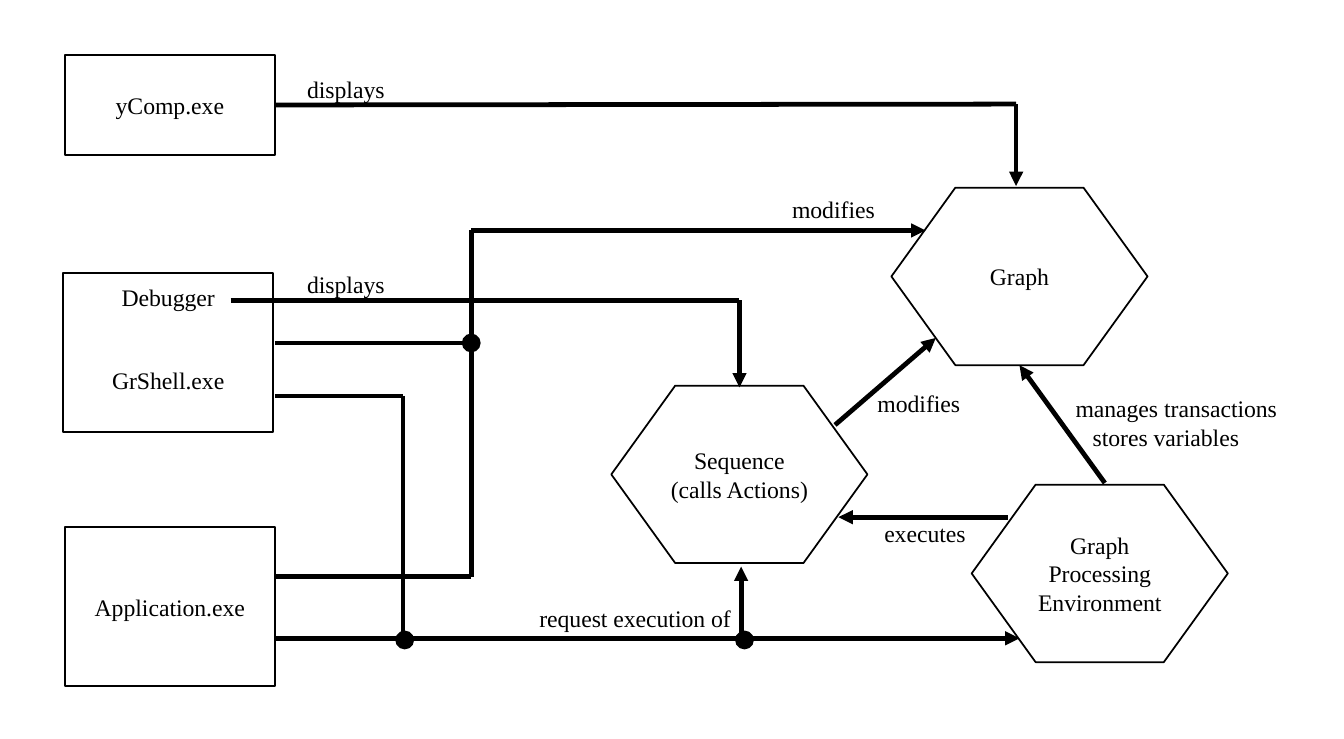
"""Build a slide showing how shell, application and viewer act on graph and sequence."""
from dataclasses import dataclass

from lxml import etree
from pptx import Presentation
from pptx import util as u
from pptx.dml.color import RGBColor
from pptx.enum import shapes, text
from pptx.oxml import ns


@dataclass(frozen=True)
class Theme:
    ink: RGBColor = RGBColor(0, 0, 0)
    paper: RGBColor = RGBColor(255, 255, 255)
    font: str = "Times New Roman"
    size: u.Pt = u.Pt(10)
    rule: u.Pt = u.Pt(0)


theme = Theme()
deck = Presentation()
deck.slide_width, deck.slide_height = u.Inches(7.87), u.Inches(4.33)
slide = deck.slides.add_slide(deck.slide_layouts[6])


def write(item, words, align):
    """Fill a shape with words and format every run."""
    frame = item.text_frame
    frame.word_wrap = True
    frame.text = words
    for para in frame.paragraphs:
        para.alignment = align
        for run in para.runs:
            run.font.name = theme.font
            run.font.size = theme.size
            run.font.color.rgb = theme.ink


def draw(kind, place, fill):
    """Add a preset shape with a thin outline and no shadow."""
    item = slide.shapes.add_shape(kind, *map(u.Inches, place))
    item.shadow.inherit = False
    item.fill.solid()
    item.fill.fore_color.rgb = fill
    item.line.color.rgb = theme.ink
    item.line.width = theme.rule
    return item


boxes = {}
for words, place in [
    ("yComp.exe", (0.38, 0.32, 1.23, 0.59)),
    ("Debugger\nGrShell.exe", (0.37, 1.6, 1.23, 0.93)),
    ("Application.exe", (0.38, 3.09, 1.23, 0.93)),
]:
    box = draw(shapes.MSO_SHAPE.RECTANGLE, place, theme.paper)
    write(box, words, text.PP_ALIGN.CENTER)
    box.text_frame.vertical_anchor = text.MSO_ANCHOR.MIDDLE
    boxes[words] = box

shell = boxes["Debugger\nGrShell.exe"].text_frame
shell.vertical_anchor = text.MSO_ANCHOR.TOP
shell.margin_top = u.Inches(0.06)
shell.paragraphs[1].space_before = u.Pt(23)

for words, left, top in [
    ("Graph", 5.22, 1.1),
    ("Graph Processing\nEnvironment", 5.69, 2.84),
    ("Sequence\n(calls Actions)", 3.58, 2.26),
]:
    node = draw(shapes.MSO_SHAPE.HEXAGON, (left, top, 1.5, 1.04), theme.paper)
    node.adjustments[0] = 0.36
    write(node, words, text.PP_ALIGN.CENTER)
    node.text_frame.vertical_anchor = text.MSO_ANCHOR.MIDDLE

lines = []
for ends, arrow in [
    ((1.61, 0.61, 5.95, 0.61), False),
    ((5.95, 0.61, 5.95, 1.09), True),
    ((1.35, 1.76, 4.33, 1.76), False),
    ((4.33, 1.76, 4.33, 2.27), True),
    ((1.61, 2.01, 2.76, 2.01), False),
    ((1.61, 3.38, 2.76, 3.38), False),
    ((2.76, 1.35, 2.76, 3.38), False),
    ((2.76, 1.35, 5.42, 1.35), True),
    ((1.61, 2.32, 2.36, 2.32), False),
    ((1.61, 3.74, 2.36, 3.74), False),
    ((2.36, 2.32, 2.36, 3.74), False),
    ((2.36, 3.74, 5.97, 3.74), True),
    ((4.34, 3.74, 4.34, 3.32), True),
    ((4.89, 2.49, 5.48, 1.98), True),
    ((5.9, 3.03, 4.91, 3.03), True),
    ((6.47, 2.83, 5.97, 2.14), True),
]:
    line = slide.shapes.add_connector(shapes.MSO_CONNECTOR.STRAIGHT, *map(u.Inches, ends))
    line.line.color.rgb = theme.ink
    line.line.width = theme.rule
    if arrow:
        etree.SubElement(line.line._get_or_add_ln(), ns.qn("a:tailEnd"), type="triangle")
    etree.SubElement(line._element.spPr, ns.qn("a:effectLst"))
    lines.append(line)
lines[0].begin_connect(boxes["yComp.exe"], 3)

for left, top in [(2.71, 1.96), (2.32, 3.7), (4.31, 3.7)]:
    draw(shapes.MSO_SHAPE.OVAL, (left, top, 0.1, 0.1), theme.ink)

for words, place in [
    ("displays", (1.7, 0.39, 0.99, 0.26)),
    ("displays", (1.7, 1.53, 0.99, 0.26)),
    ("modifies", (4.54, 1.09, 0.73, 0.26)),
    ("modifies", (5.04, 2.23, 0.73, 0.26)),
    ("executes", (5.08, 2.99, 0.71, 0.26)),
    ("request execution of", (3.06, 3.49, 1.4, 0.29)),
    ("manages transactions\nstores variables", (6.2, 2.26, 1.57, 0.41)),
]:
    label = slide.shapes.add_textbox(*map(u.Inches, place))
    write(label, words, text.PP_ALIGN.LEFT)
    label.text_frame.auto_size = text.MSO_AUTO_SIZE.SHAPE_TO_FIT_TEXT
    for para in label.text_frame.paragraphs[1:]:
        para._p.get_or_add_pPr().set("marL", str(u.Inches(0.1)))

deck.save("out.pptx")
